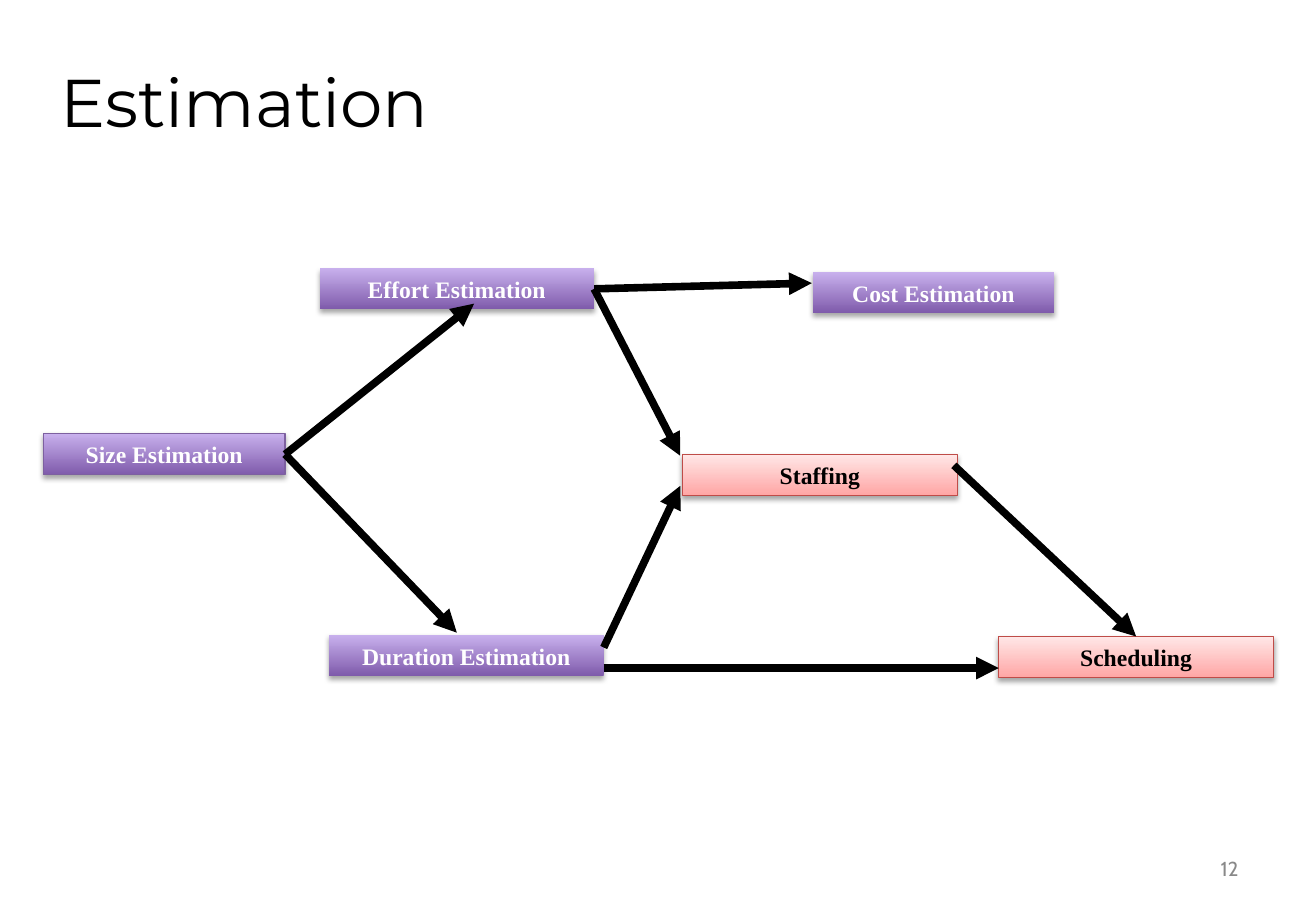
from pptx import Presentation
from pptx.dml.color import RGBColor
from pptx.enum.shapes import MSO_CONNECTOR as Link, MSO_SHAPE as Preset
from pptx.enum.text import MSO_ANCHOR as Anchor, PP_ALIGN as Align
from pptx.oxml import parse_xml
from pptx.oxml.ns import nsdecls, qn
from pptx.util import Cm, Pt

BLACK = RGBColor(0x00, 0x00, 0x00)
WHITE = RGBColor(0xFF, 0xFF, 0xFF)
GRAY = RGBColor(0x89, 0x89, 0x89)
PURPLE_DARK = RGBColor(0x7F, 0x5B, 0xAB)
PURPLE_LIGHT = RGBColor(0xC8, 0xB0, 0xED)
PURPLE_LINE = RGBColor(0x7D, 0x60, 0xA0)
PINK_DARK = RGBColor(0xFF, 0xA6, 0xA5)
PINK_LIGHT = RGBColor(0xFF, 0xE7, 0xE7)
RED_LINE = RGBColor(0xBF, 0x4C, 0x48)

PURPLE = (PURPLE_DARK, PURPLE_LIGHT, WHITE)
PINK = (PINK_DARK, PINK_LIGHT, BLACK)
NARROW, WIDE, STEP_HEIGHT = 5.05, 5.74, 0.86
TOP, RIGHT = 0, 3

STEPS = [
    ("Size Estimation", 0, 3.46, NARROW, PURPLE, PURPLE_LINE),
    ("Effort Estimation", 5.77, 0, WIDE, PURPLE, None),
    ("Cost Estimation", 16.08, 0.08, NARROW, PURPLE, None),
    ("Duration Estimation", 5.97, 7.67, WIDE, PURPLE, None),
    ("Staffing", 13.36, 3.89, WIDE, PINK, RED_LINE),
    ("Scheduling", 19.97, 7.7, WIDE, PINK, RED_LINE),
]
ARROWS = [
    (("Size Estimation", RIGHT), (9, 0.74)),
    (("Size Estimation", RIGHT), (8.64, 7.62)),
    (("Effort Estimation", RIGHT), (16.06, 0.31)),
    (("Effort Estimation", RIGHT), (13.31, 3.92)),
    ((11.71, 7.93), (13.31, 4.55)),
    ((11.71, 8.36), (19.97, 8.36)),
    ((19.03, 4.12), ("Scheduling", TOP)),
]


def format_text(frame, text, font, size, color, align, bold=False):
    frame.text = text
    para = frame.paragraphs[0]
    para.alignment = align
    para.space_before = Pt(0)
    span = para.runs[0]
    span.font.name = font
    span.font.size = Pt(size)
    span.font.bold = bold
    span.font.color.rgb = color


def add_title(page, left, top, width, height):
    title = page.shapes.title
    title.left, title.top, title.width, title.height = map(Cm, (left, top, width, height))
    frame = title.text_frame
    frame.margin_left = frame.margin_right = Cm(0.05)
    frame.vertical_anchor = Anchor.MIDDLE
    format_text(frame, "Estimation", "Montserrat", 40, BLACK, Align.LEFT)


def add_step(page, text, left, top, width, style, outline):
    dark, light, text_color = style
    box = page.shapes.add_shape(
        Preset.RECTANGLE, Cm(left), Cm(top), Cm(width), Cm(STEP_HEIGHT))
    box.fill.gradient()
    box.fill.gradient_angle = 90
    for stop, color in zip(box.fill.gradient_stops, (dark, light)):
        stop.color.rgb = color
    if outline is None:
        box.line.fill.background()
    else:
        box.line.color.rgb = outline
        box.line.width = Pt(0.75)
    box.shadow.inherit = False
    box._element.spPr.find(qn("a:effectLst")).append(parse_xml(
        f'<a:outerShdw {nsdecls("a")} blurRad="{Pt(3.1)}" dist="{Pt(1.8)}" '
        'dir="5400000" rotWithShape="0"><a:srgbClr val="000000">'
        '<a:alpha val="35000"/></a:srgbClr></a:outerShdw>'))
    format_text(box.text_frame, text, "Times New Roman", 14, text_color, Align.CENTER, True)
    return box


def add_arrow(page, boxes, left, top, begin, end):
    arrow = page.shapes.add_connector(Link.STRAIGHT, 0, 0, 0, 0)
    if begin[0] in boxes:
        arrow.begin_connect(boxes[begin[0]], begin[1])
    else:
        arrow.begin_x, arrow.begin_y = Cm(left + begin[0]), Cm(top + begin[1])
    if end[0] in boxes:
        arrow.end_connect(boxes[end[0]], end[1])
    else:
        arrow.end_x, arrow.end_y = Cm(left + end[0]), Cm(top + end[1])
    arrow.line.color.rgb = BLACK
    arrow.line.width = Pt(4.5)
    properties = arrow._element.spPr
    properties.find(qn("a:ln")).append(
        parse_xml(f'<a:tailEnd {nsdecls("a")} type="triangle"/>'))
    properties.append(parse_xml(f'<a:effectLst {nsdecls("a")}/>'))


def add_diagram(page, left, top):
    boxes = {}
    for text, across, down, width, style, outline in STEPS:
        boxes[text] = add_step(page, text, left + across, top + down, width, style, outline)
    for begin, end in ARROWS:
        add_arrow(page, boxes, left, top, begin, end)


def add_page_number(page, left, top, width, height):
    box = page.shapes.add_textbox(Cm(left), Cm(top), Cm(width), Cm(height))
    box.text_frame.word_wrap = True
    box.text_frame.vertical_anchor = Anchor.MIDDLE
    format_text(box.text_frame, "12", "Cabin", 12, GRAY, Align.RIGHT)


def main():
    deck = Presentation()
    deck.slide_width, deck.slide_height = Cm(27.51), Cm(19.05)
    page = deck.slides.add_slide(deck.slide_layouts[5])
    add_title(page, 1.22, 0.51, 23.37, 3.18)
    add_diagram(page, 0.91, 5.61)
    add_page_number(page, 19.71, 17.65, 6.43, 1.02)
    deck.save("out.pptx")


if __name__ == "__main__":
    main()
